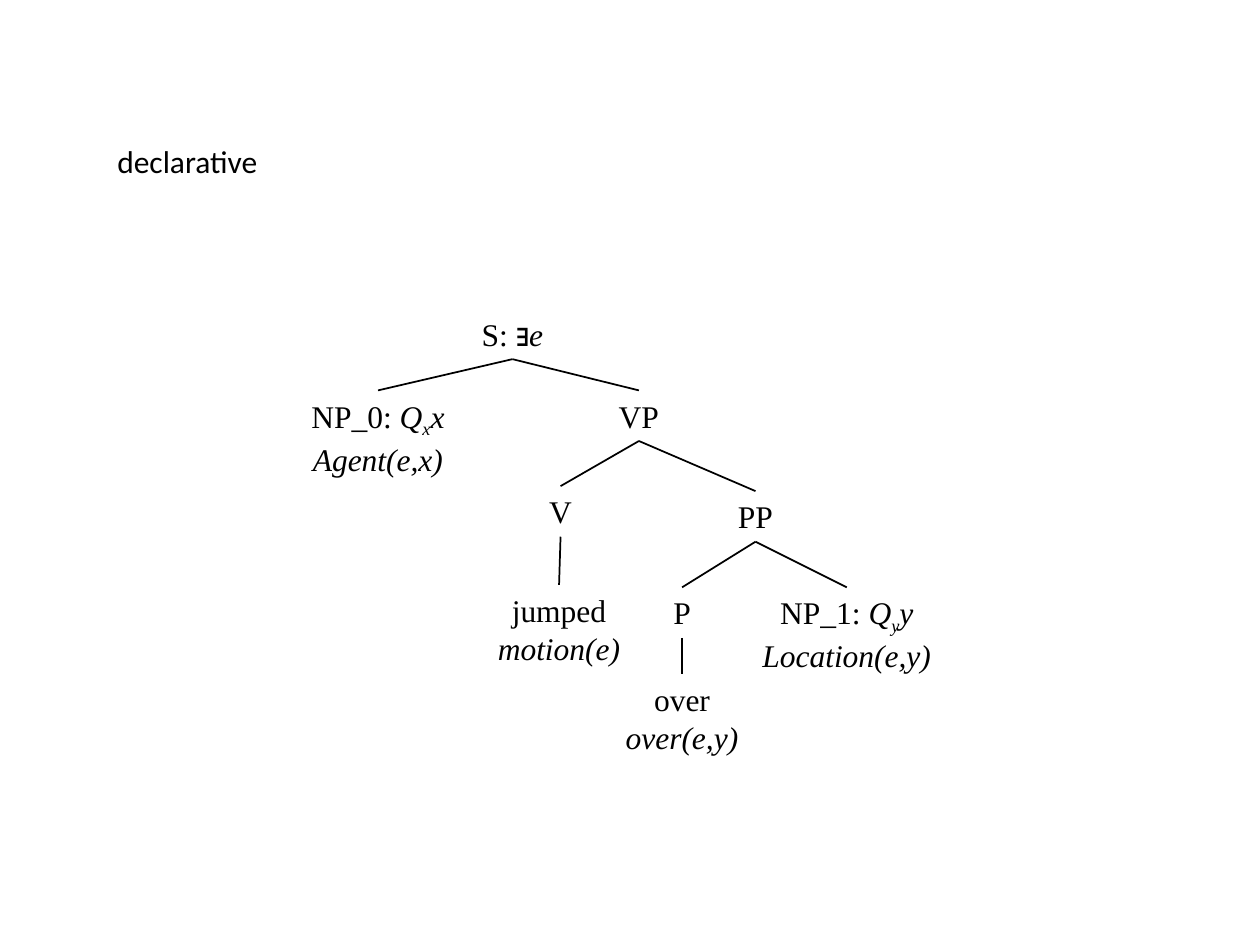
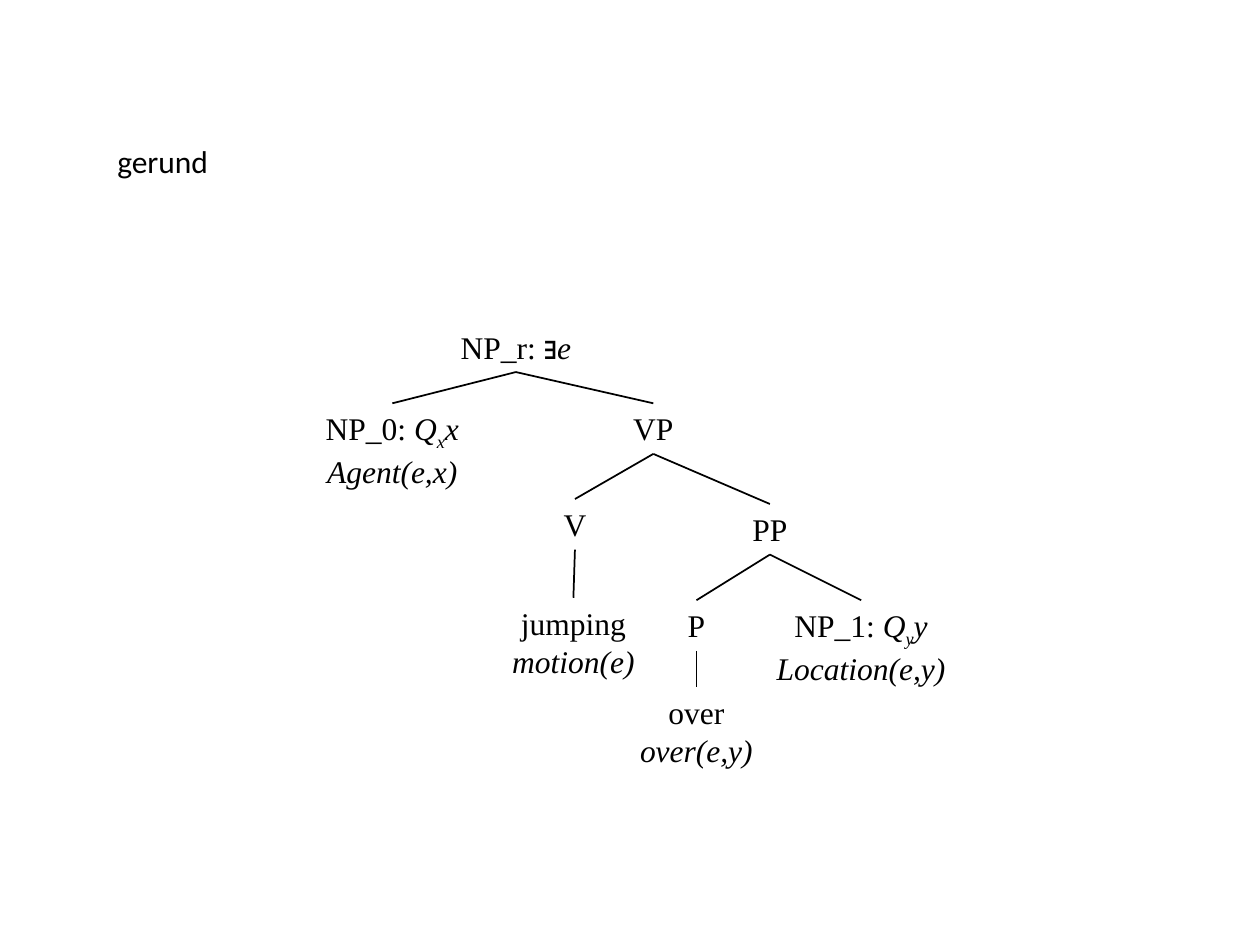
"""Build two slides with syntax trees for a declarative and a gerund."""
from pptx import Presentation
from pptx.dml.color import RGBColor as Rgb
from pptx.enum.shapes import MSO_CONNECTOR as Link
from pptx.enum.text import MSO_ANCHOR as Anchor, MSO_AUTO_SIZE as Fit, PP_ALIGN as Align
from pptx.oxml.ns import qn
from pptx.util import Cm, Pt
from lxml.etree import SubElement

INK = "000000"
SERIF, SANS = "Times New Roman", "Calibri"
ROW = 1.02
STEP = 0.78

EDGES = [
    ("root", "np0"), ("root", "vp"), ("vp", "v"), ("vp", "pp"),
    ("pp", "p"), ("pp", "np1"), ("p", "over"), ("v", "verb"),
]


def color(hue):
    return Rgb.from_string(hue)


def style(font, name):
    font.name, font.size = name, Pt(18)
    font.color.rgb = color(INK)


def add_title(slide, text, width):
    title = slide.shapes.title
    title.left, title.top = Cm(2.11), Cm(2.74)
    title.width, title.height = Cm(width), Cm(ROW)
    frame = title.text_frame
    frame.text = text
    frame.word_wrap, frame.auto_size = False, Fit.NONE
    frame.vertical_anchor = Anchor.TOP
    para = frame.paragraphs[0]
    para.alignment = Align.LEFT
    style(para.font, SANS)


def add_run(para, text, mark):
    run = para.add_run()
    run.text = text
    style(run.font, SERIF)
    if mark:
        run.font.italic = True
    if mark == "sub":
        run.font._element.set("baseline", "-25000")


def add_node(group, mid, top, width, lines):
    high = ROW + STEP * (len(lines) - 1)
    box = group.shapes.add_textbox(Cm(mid - width / 2), Cm(top), Cm(width), Cm(high))
    frame = box.text_frame
    frame.word_wrap = False
    for i, runs in enumerate(lines):
        para = frame.add_paragraph() if i else frame.paragraphs[0]
        para.alignment = Align.CENTER
        for text, mark in runs:
            add_run(para, text, mark)


def add_edge(group, start, end):
    line = group.shapes.add_connector(Link.STRAIGHT, *map(Cm, start + end))
    line.line.color.rgb = color(INK)
    line.line.width = Pt(1)
    SubElement(line._element.spPr, qn("a:effectLst"))


def word(text):
    return [(text, "")]


def role(text):
    return [(text, "it")]


def phrase(label, var):
    return [(label + ": ", ""), ("Q", "it"), (var, "sub"), (var, "it")]


def add_tree(slide, root, verb, dx, dy):
    label, mid, width = root
    nodes = {
        "root": (mid, 6.22, width, [[(label + ": ∃", ""), ("e", "it")]]),
        "np0": (7.62, 7.87, 3.56, [phrase("NP_0", "x"), role("Agent(e,x)")]),
        "vp": (12.88, 7.87, 1.32, [word("VP")]),
        "v": (11.3, 9.8, 0.97, [word("V")]),
        "pp": (15.23, 9.9, 1.22, [word("PP")]),
        "p": (13.75, 11.84, 0.86, [word("P")]),
        "np1": (17.07, 11.84, 4.17, [phrase("NP_1", "y"), role("Location(e,y)")]),
        "over": (13.75, 13.58, 3.02, [word("over"), role("over(e,y)")]),
        "verb": (11.27, 11.79, 3.23, [word(verb), role("motion(e)")]),
    }
    group = slide.shapes.add_group_shape()
    spots = {}
    for key, (x, y, wide, lines) in nodes.items():
        spots[key] = (x + dx, y + dy)
        add_node(group, *spots[key], wide, lines)
    for head, child in EDGES:
        x, y = spots[head]
        add_edge(group, (x, y + ROW), spots[child])


def main():
    deck = Presentation()
    deck.slide_width, deck.slide_height = Cm(25.4), Cm(19.05)
    pages = [
        ("declarative", 3.38, ("S", 10.33, 2.31), "jumped", 0, 0),
        ("gerund", 2.36, ("NP_r", 10.11, 3.33), "jumping", 0.29, 0.26),
    ]
    for title, width, *tree in pages:
        slide = deck.slides.add_slide(deck.slide_layouts[5])
        add_title(slide, title, width)
        add_tree(slide, *tree)
    deck.save("out.pptx")


if __name__ == "__main__":
    main()
